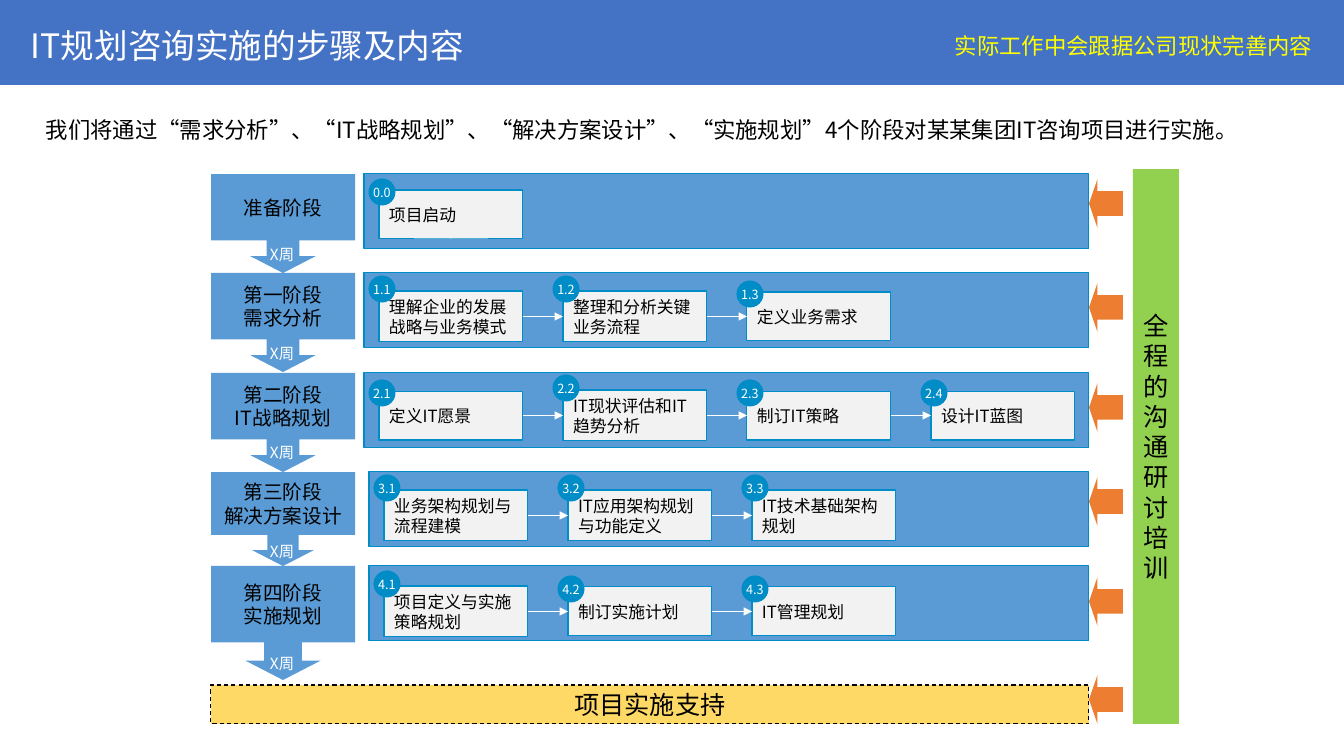
from itertools import pairwise

from lxml import etree
from pptx import Presentation
from pptx.dml.color import RGBColor
from pptx.enum.dml import MSO_LINE
from pptx.enum.lang import MSO_LANGUAGE_ID
from pptx.enum.shapes import MSO_CONNECTOR, MSO_SHAPE
from pptx.enum.text import MSO_ANCHOR, MSO_AUTO_SIZE, PP_ALIGN
from pptx.oxml.ns import qn
from pptx.util import Emu, Pt

WHITE = RGBColor(0xFF, 0xFF, 0xFF)
BLACK = RGBColor(0, 0, 0)
HEADER_BLUE = RGBColor(0x44, 0x72, 0xC4)
BAND_BLUE = RGBColor(0x5B, 0x9B, 0xD5)
PHASE_BLUE = RGBColor(0x5A, 0x9B, 0xD5)
EDGE_BLUE = RGBColor(0x00, 0x8C, 0xC6)
TASK_GREY = RGBColor(0xF2, 0xF2, 0xF2)
GREEN = RGBColor(0x92, 0xD0, 0x50)
ORANGE = RGBColor(0xED, 0x7D, 0x31)
GOLD = RGBColor(0xFF, 0xD9, 0x66)
YELLOW = RGBColor(0xFF, 0xFF, 0x00)

FONT = "Noto Sans CJK SC"
EMU_PER_PX = 914400 / 100.8
WIDTH, HEIGHT = 1344, 756
BAND_RIGHT, BAND_HEIGHT = 1089, 75
PHASE_LEFT, PHASE_WIDTH = 211, 144
TASK_WIDTH, TASK_PITCH, TASK_HEIGHT = 144, 184, 51
BADGE_SIZE = 26

# phase lines, top, callout height, duration top, band left, task offset, tasks
PHASES = [
    (["准备阶段"], 174, 99, 240, 364, 15, [("0.0", "项目启动")]),
    (["第一阶段", "需求分析"], 273, 99, 339, 364, 18,
     [("1.1", "理解企业的发展战略与业务模式"), ("1.2", "整理和分析关键业务流程"),
      ("1.3", "定义业务需求")]),
    (["第二阶段", "IT战略规划"], 373, 99, 438, 364, 17,
     [("2.1", "定义IT愿景"), ("2.2", "IT现状评估和IT趋势分析"),
      ("2.3", "制订IT策略"), ("2.4", "设计IT蓝图")]),
    (["第三阶段", "解决方案设计"], 472, 94, 537, 369, 18,
     [("3.1", "业务架构规划与流程建模"), ("3.2", "IT应用架构规划与功能定义"),
      ("3.3", "IT技术基础架构规划")]),
    (["第四阶段", "实施规划"], 566, 114, 649, 369, 20,
     [("4.1", "项目定义与实施策略规划"), ("4.2", "制订实施计划"),
      ("4.3", "IT管理规划")]),
]
FEEDBACK_TOPS = [179, 283, 383, 477, 577, 675]


def px(length):
    return Emu(round(length * EMU_PER_PX))


def write(box, lines, size=12, color=BLACK, align=PP_ALIGN.LEFT,
          anchor=MSO_ANCHOR.MIDDLE, wrap=True, inset=(10, 5)):
    frame = box.text_frame
    frame.word_wrap = wrap
    frame.auto_size = MSO_AUTO_SIZE.NONE
    frame.vertical_anchor = anchor
    frame.margin_left = frame.margin_right = px(inset[0])
    frame.margin_top = frame.margin_bottom = px(inset[1])
    for index, line in enumerate(lines):
        para = frame.add_paragraph() if index else frame.paragraphs[0]
        para.alignment = align
        para.line_spacing = Pt(round(size * 1.2, 1))
        para.space_before = Pt(0)
        span = para.add_run()
        span.text = line
        font = span.font
        font.name, font.size = FONT, Pt(size)
        font.color.rgb = color
        font.language_id = MSO_LANGUAGE_ID.SIMPLIFIED_CHINESE
        etree.SubElement(span._r.get_or_add_rPr(), qn("a:ea"), typeface=FONT)


class PlanSlide:
    def __init__(self, deck):
        self.page = deck.slides.add_slide(deck.slide_layouts[5])

    def shape(self, kind, left, top, width, height, fill, edge=None, adjust=()):
        box = self.page.shapes.add_shape(
            kind, px(left), px(top), px(width), px(height))
        box.shadow.inherit = False
        box.fill.solid()
        box.fill.fore_color.rgb = fill
        if edge is None:
            box.line.fill.background()
        else:
            box.line.color.rgb = edge
            box.line.width = Pt(0.75)
        for index, value in enumerate(adjust):
            box.adjustments[index] = value
        return box

    def rect(self, *place, **style):
        return self.shape(MSO_SHAPE.RECTANGLE, *place, **style)

    def text(self, line, left, top, width, height, **style):
        box = self.page.shapes.add_textbox(
            px(left), px(top), px(width), px(height))
        write(box, [line], anchor=MSO_ANCHOR.TOP, **style)

    def header(self, title):
        bar = self.rect(0, 0, WIDTH, 85, fill=HEADER_BLUE)
        box = self.page.shapes.title
        box._element.addprevious(bar._element)
        box.left, box.top, box.width, box.height = map(px, (21, 20, 537, 59))
        write(box, [title], size=24, color=WHITE, anchor=MSO_ANCHOR.TOP)

    def task(self, number, name, left, top):
        two_lines = len(name) > 9 or name == "IT技术基础架构规划"
        trim = 0 if two_lines else 1
        box = self.rect(left, top + trim, TASK_WIDTH, TASK_HEIGHT - 2 * trim,
                        fill=TASK_GREY, edge=EDGE_BLUE)
        write(box, [name])
        badge = self.shape(MSO_SHAPE.OVAL, left - 10, top - (15 if two_lines else 10),
                           BADGE_SIZE, BADGE_SIZE, EDGE_BLUE, EDGE_BLUE)
        write(badge, [number], size=9, color=WHITE, align=PP_ALIGN.CENTER,
              wrap=False, inset=(0, 0))
        return box

    def arrow(self, source, target):
        line = self.page.shapes.add_connector(MSO_CONNECTOR.STRAIGHT, 0, 0, 0, 0)
        line.begin_connect(source, 3)
        line.end_connect(target, 1)
        line.line.color.rgb = WHITE
        line.line.width = Pt(0.75)
        etree.SubElement(line.line._get_or_add_ln(), qn("a:tailEnd"), type="triangle")
        etree.SubElement(line._element.spPr, qn("a:effectLst"))

    def phase(self, lines, top, height, duration_top, band_left, task_offset, tasks):
        self.rect(band_left, top, BAND_RIGHT - band_left, BAND_HEIGHT,
                  fill=BAND_BLUE, edge=EDGE_BLUE)
        callout = self.shape(MSO_SHAPE.DOWN_ARROW_CALLOUT, PHASE_LEFT, top, PHASE_WIDTH,
                             height, PHASE_BLUE, adjust=(0.33, 0.33, 0.17, 0.67))
        write(callout, lines, size=14, align=PP_ALIGN.CENTER)
        self.text("X周", 260, duration_top, 75, 29, size=11, color=WHITE)
        boxes = [self.task(number, name, band_left + 15 + column * TASK_PITCH,
                           top + task_offset)
                 for column, (number, name) in enumerate(tasks)]
        for source, target in pairwise(boxes):
            self.arrow(source, target)


def main():
    deck = Presentation()
    deck.slide_width, deck.slide_height = px(WIDTH), px(HEIGHT)
    plan = PlanSlide(deck)

    # Header and introduction
    plan.header("IT规划咨询实施的步骤及内容")
    plan.text("实际工作中会跟据公司现状完善内容", 945, 27, 382, 37,
              size=16, color=YELLOW, wrap=False)
    plan.text("我们将通过“需求分析”、“IT战略规划”、“解决方案设计”、“实施规划”"
              "4个阶段对某某集团IT咨询项目进行实施。",
              36, 111, 1252, 37, size=16, align=PP_ALIGN.JUSTIFY)

    # Phases with their tasks
    for phase in PHASES:
        plan.phase(*phase)

    # Support bar under the phases
    support = plan.rect(PHASE_LEFT, 685, BAND_RIGHT - PHASE_LEFT, 39,
                        fill=GOLD, edge=BLACK)
    support.line.dash_style = MSO_LINE.DASH
    write(support, ["项目实施支持"], size=18, align=PP_ALIGN.CENTER)

    # Communication column and its arrows
    column = plan.rect(1133, 169, 46, 555, fill=GREEN)
    write(column, "全程的沟通研讨培训", size=18, align=PP_ALIGN.CENTER, inset=(0, 5))
    for top in FEEDBACK_TOPS:
        plan.shape(MSO_SHAPE.LEFT_ARROW, 1089, top, 34, 49, ORANGE, adjust=(0.5, 0.25))

    deck.save("out.pptx")


if __name__ == "__main__":
    main()
